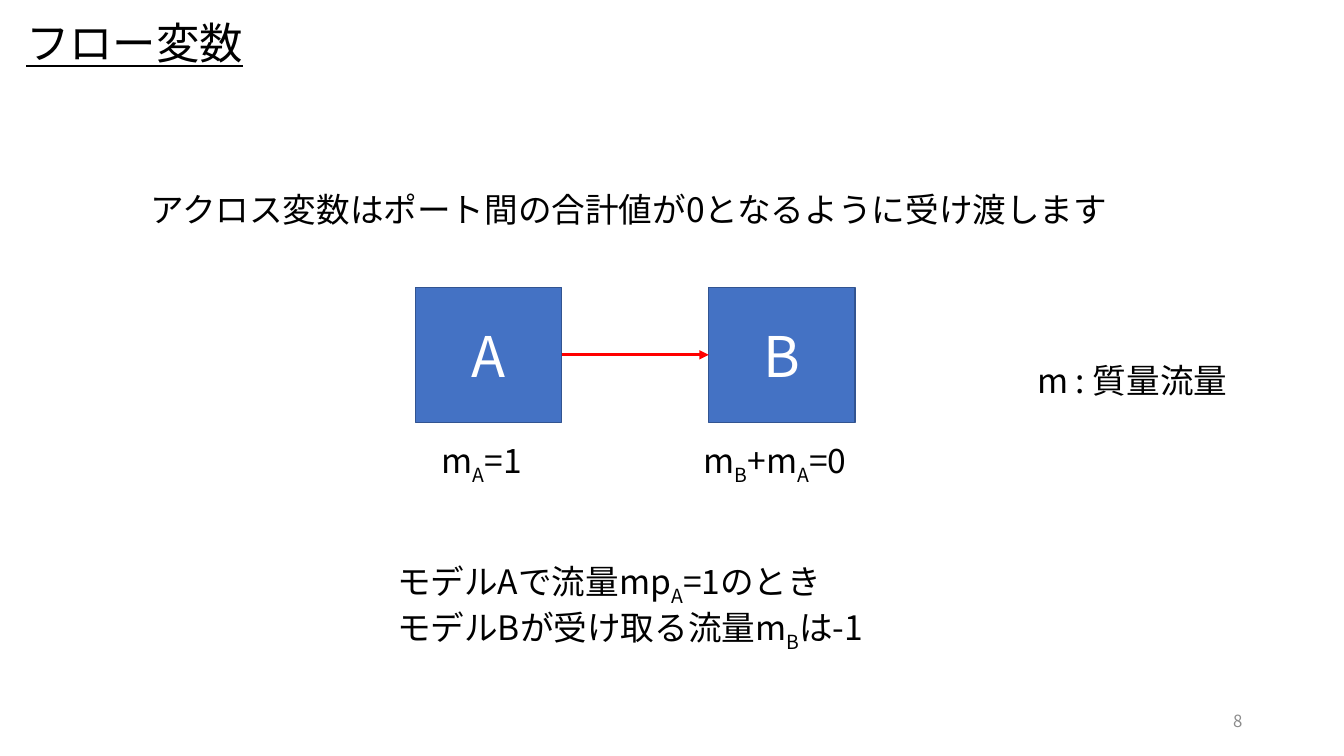
import pptx
import pptx.util
import pptx.dml.color
import pptx.enum.dml
import pptx.enum.lang
import pptx.enum.shapes
import pptx.enum.text
import pptx.oxml.ns
from lxml import etree

Inches, Pt = pptx.util.Inches, pptx.util.Pt
RGBColor = pptx.dml.color.RGBColor
ALIGN = pptx.enum.text.PP_ALIGN
ANCHOR = pptx.enum.text.MSO_ANCHOR
FIT = pptx.enum.text.MSO_AUTO_SIZE
qn = pptx.oxml.ns.qn

FONT = "Noto Sans CJK JP"
BLACK = RGBColor(0x00, 0x00, 0x00)
WHITE = RGBColor(0xFF, 0xFF, 0xFF)
GRAY = RGBColor(0x8C, 0x8C, 0x8C)
BLUE = RGBColor(0x44, 0x72, 0xC4)
NAVY = RGBColor(0x32, 0x54, 0x91)
RED = RGBColor(0xFF, 0x00, 0x00)

# Content: each paragraph is a list of runs; every second run is a subscript
TITLE = "フロー変数"
PAGE = "8"
NOTES = [
    ((1.39, 1.83, 9.81, 0.5), [["アクロス変数はポート間の合計値が0となるように受け渡します"]]),
    ((3.84, 5.52, 4.91, 0.91), [["モデルAで流量mp", "A", "=1のとき"],
                                ["モデルBが受け取る流量m", "B", "は-1"]]),
    ((4.28, 4.32, 1.07, 0.5), [["m", "A", "=1"]]),
    ((6.88, 4.32, 1.75, 0.5), [["m", "B", "+m", "A", "=0"]]),
    ((10.19, 3.52, 2.13, 0.5), [["m : 質量流量"]]),
]
MODELS = ["A", "B"]
MODEL_LEFT, MODEL_TOP, MODEL_W, MODEL_H, MODEL_STEP = 4.12, 2.85, 1.45, 1.34, 2.91


def style(r, size, color):
    r.font.size = Pt(size)
    r.font.name = FONT
    r.font.color.rgb = color
    r.font.language_id = pptx.enum.lang.MSO_LANGUAGE_ID.JAPANESE
    etree.SubElement(r._r.get_or_add_rPr(), qn("a:ea")).set("typeface", FONT)


def fill_text(tf, paragraphs, size, color, align=ALIGN.LEFT):
    for i, runs in enumerate(paragraphs):
        p = tf.paragraphs[0] if i == 0 else tf.add_paragraph()
        p.alignment = align
        for j, text in enumerate(runs):
            r = p.add_run()
            r.text = text
            style(r, size, color)
            if j % 2:
                r._r.get_or_add_rPr().set("baseline", "-25000")


def add_text(s, box, paragraphs, size=24, color=BLACK, align=ALIGN.LEFT):
    tf = s.shapes.add_textbox(*map(Inches, box)).text_frame
    tf.word_wrap = True
    fill_text(tf, paragraphs, size, color, align)
    return tf


prs = pptx.Presentation()
prs.slide_width, prs.slide_height = Inches(13.33), Inches(7.5)
s = prs.slides.add_slide(prs.slide_layouts[6])

# Page number and title
tf = add_text(s, (9.42, 6.95, 3, 0.4), [[PAGE]], 12, GRAY, ALIGN.RIGHT)
tf.vertical_anchor = ANCHOR.MIDDLE

tf = add_text(s, (0.2, 0.1, 2.29, 0.63), [[TITLE]], 31)
tf.word_wrap = False
tf.auto_size = FIT.SHAPE_TO_FIT_TEXT
tf.vertical_anchor = ANCHOR.MIDDLE
tf.margin_left = tf.margin_right = tf.margin_top = tf.margin_bottom = Inches(0.06)
tf.paragraphs[0].runs[0].font.underline = True

# Model boxes
boxes = []
for i, name in enumerate(MODELS):
    sp = s.shapes.add_shape(pptx.enum.shapes.MSO_SHAPE.RECTANGLE,
                            Inches(MODEL_LEFT + i * MODEL_STEP), Inches(MODEL_TOP),
                            Inches(MODEL_W), Inches(MODEL_H))
    sp.shadow.inherit = False
    sp.fill.solid()
    sp.fill.fore_color.rgb = BLUE
    sp.line.color.rgb = NAVY
    sp.line.width = Pt(1)
    sp.text_frame.vertical_anchor = ANCHOR.MIDDLE
    fill_text(sp.text_frame, [[name]], 40, WHITE, ALIGN.CENTER)
    boxes.append(sp)

# Flow arrow from A to B
arrow = s.shapes.add_connector(pptx.enum.shapes.MSO_CONNECTOR.STRAIGHT, 0, 0, 0, 0)
arrow.begin_connect(boxes[0], 3)
arrow.end_connect(boxes[1], 1)
arrow.line.color.rgb = RED
arrow.line.width = Pt(2.25)
etree.SubElement(arrow.line._get_or_add_ln(), qn("a:tailEnd")).set("type", "triangle")
etree.SubElement(arrow._element.spPr, qn("a:effectLst"))

# Explanations and formulas
for box, paragraphs in NOTES:
    add_text(s, box, paragraphs).auto_size = FIT.SHAPE_TO_FIT_TEXT

prs.save("out.pptx")
